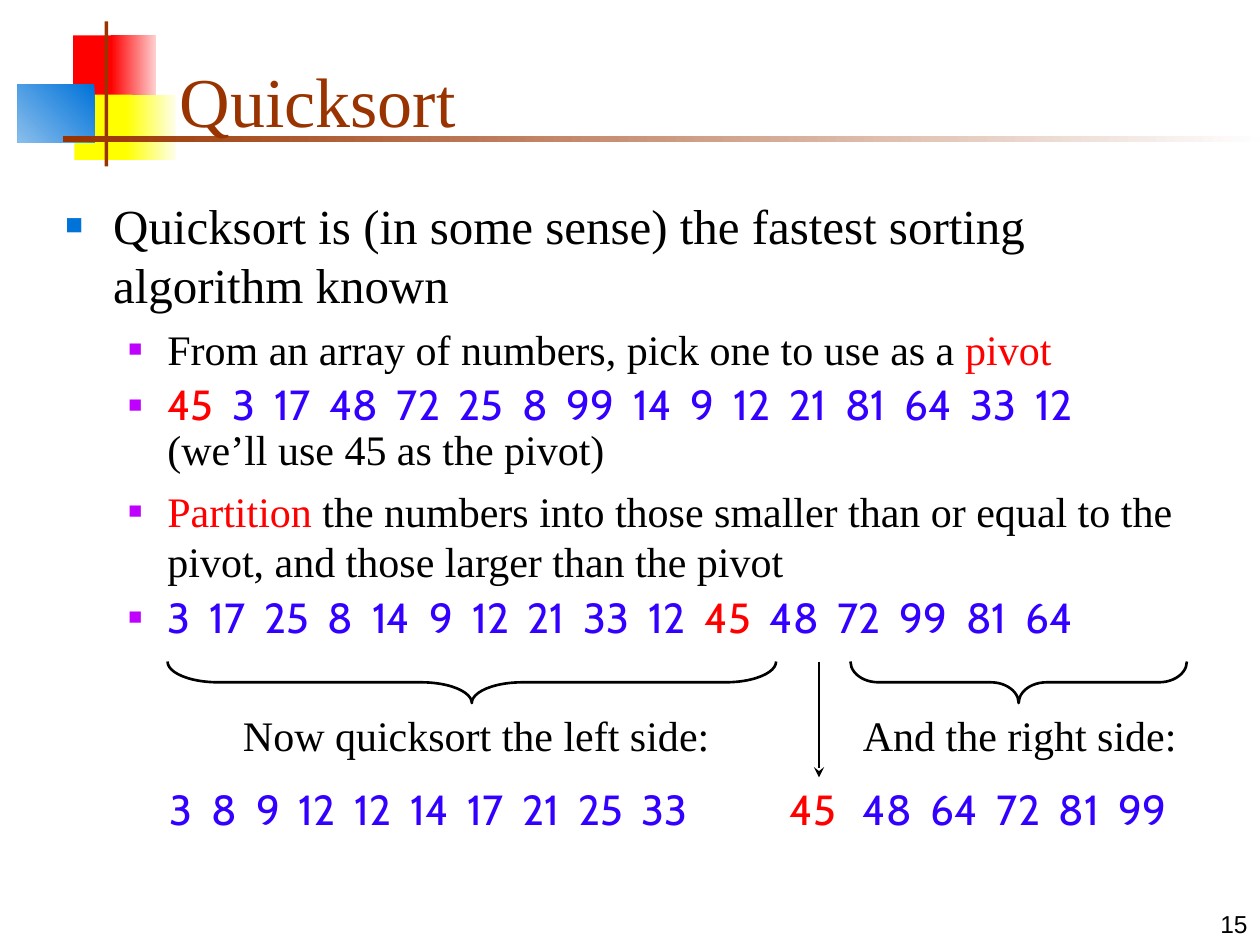
"""Build a slide that explains quicksort with one worked partition."""
import pptx
import pptx.dml.color
import pptx.enum.shapes
import pptx.enum.text
import pptx.oxml
import pptx.oxml.ns
import pptx.util
from pptx.util import Inches

RGBColor = pptx.dml.color.RGBColor
Shape = pptx.enum.shapes.MSO_SHAPE
Anchor = pptx.enum.text.MSO_ANCHOR
Align = pptx.enum.text.PP_ALIGN

BLACK = RGBColor(0x00, 0x00, 0x00)
RED = RGBColor(0xFF, 0x00, 0x00)
PALE_RED = RGBColor(0xFE, 0xD0, 0xD0)
YELLOW = RGBColor(0xFF, 0xFF, 0x00)
PALE_YELLOW = RGBColor(0xFE, 0xFE, 0xEF)
BLUE = RGBColor(0x00, 0x73, 0xD9)
PALE_BLUE = RGBColor(0x8A, 0xBE, 0xEC)
BROWN = RGBColor(0x99, 0x33, 0x00)
NEAR_WHITE = RGBColor(0xFE, 0xFE, 0xFE)
PURPLE = RGBColor(0xBF, 0x00, 0xFF)
INDIGO = RGBColor(0x33, 0x00, 0xFF)

SERIF, NUMERAL, SANS = "Times New Roman", "Cabin", "Arial"
GAP = "  "


def numbers(*values):
    """Return the values as one evenly spaced row."""
    return GAP.join(str(value) for value in values)


DECORATION = [
    ((0.58, 0.28, 0.35, 0.52), (RED,), 0),
    ((0.88, 0.28, 0.36, 0.52), (PALE_RED, RED), 180),
    ((0.59, 0.75, 0.46, 0.52), (YELLOW,), 0),
    ((1, 0.75, 0.4, 0.52), (PALE_YELLOW, YELLOW), 180),
    ((0.14, 0.67, 0.61, 0.46), (BLUE, PALE_BLUE), 225),
    ((0.83, 0.17, 0.03, 1.15), (BROWN,), 0),
    ((0.5, 1.08, 9.5, 0.05), (NEAR_WHITE, BROWN), 180),
]

TOP_BULLET = dict(size=28, before=7, margin=0.38, hanging=0.38,
                  bullet=BLUE, bullet_size=60)
SUB_BULLET = dict(size=24, before=6, margin=0.81, hanging=0.31, level=1,
                  bullet=PURPLE, bullet_size=55)
TIGHT_BULLET = dict(SUB_BULLET, spacing=0.9)

BODY = [
    ([("Quicksort is (in some sense) the fastest sorting algorithm known",
       SERIF, BLACK)], TOP_BULLET),
    ([("From an array of numbers, pick one to use as a ", SERIF, BLACK),
      ("pivot", SERIF, RED)], SUB_BULLET),
    ([("45", NUMERAL, RED),
      (GAP + numbers(3, 17, 48, 72, 25, 8, 99, 14, 9, 12, 21, 81, 64, 33, 12)
       + "\n", NUMERAL, INDIGO),
      ("(we’ll use 45 as the pivot)", SERIF, BLACK)], TIGHT_BULLET),
    ([("Partition", SERIF, RED),
      (" the numbers into those smaller than or equal to the pivot, "
       "and those larger than the pivot", SERIF, BLACK)], SUB_BULLET),
    ([(numbers(3, 17, 25, 8, 14, 9, 12, 21, 33, 12) + GAP, NUMERAL, INDIGO),
      ("45", NUMERAL, RED),
      (GAP + numbers(48, 72, 99, 81, 64), NUMERAL, INDIGO)], TIGHT_BULLET),
]

LABEL_TOP, RESULT_TOP = 5.58, 6.17
LABELS = [
    ((1.83, LABEL_TOP, 4, 0.5), "Now quicksort the left side:", SERIF, BLACK),
    ((6.75, LABEL_TOP, 2.83, 0.5), "And the right side:", SERIF, BLACK),
    ((1.25, RESULT_TOP, 5.08, 0.5),
     numbers(3, 8, 9, 12, 12, 14, 17, 21, 25, 33), NUMERAL, INDIGO),
    ((6.17, RESULT_TOP, 0.58, 0.5), "45", NUMERAL, RED),
    ((6.75, RESULT_TOP, 3, 0.5), numbers(48, 64, 72, 81, 99), NUMERAL, INDIGO),
]

BRACE_TOP, BRACE_DEPTH = 5.25, 0.33
BRACES = [(1.33, 4.83), (6.75, 2.67)]
ARROW_X = 6.5


def add_block(page, place, colours, angle):
    block = page.shapes.add_shape(Shape.RECTANGLE, *map(Inches, place))
    block.shadow.inherit = False
    block.line.fill.background()
    if len(colours) == 1:
        block.fill.solid()
        block.fill.fore_color.rgb = colours[0]
        return
    block.fill.gradient()
    block.fill.gradient_angle = angle
    for stop, colour in zip(block.fill.gradient_stops, colours):
        stop.color.rgb = colour


def set_bullet(para, colour, percent, margin, hanging):
    properties = para._p.get_or_add_pPr()
    properties.set("marL", str(Inches(margin)))
    properties.set("indent", str(-Inches(hanging)))
    space = pptx.oxml.ns.nsdecls("a")
    for markup in (
        f'<a:buClr {space}><a:srgbClr val="{colour}"/></a:buClr>',
        f'<a:buSzPct {space} val="{percent * 1000}"/>',
        f'<a:buFont {space} typeface="{SANS}"/>',
        f'<a:buChar {space} char="■"/>',
    ):
        properties.append(pptx.oxml.parse_xml(markup))


def write(para, spans, size=24, before=0, spacing=None, align=None, level=0,
          bullet=None, bullet_size=100, margin=0, hanging=0):
    para.level = level
    para.space_before = pptx.util.Pt(before)
    para.line_spacing = spacing
    para.alignment = align
    if bullet is not None:
        set_bullet(para, bullet, bullet_size, margin, hanging)
    for text, font, colour in spans:
        span = para.add_run()
        span.text = text.rstrip("\n")
        span.font.name = font
        span.font.size = pptx.util.Pt(size)
        span.font.color.rgb = colour
        if text.endswith("\n"):
            para.add_line_break()


def add_text(page, place, paragraphs, anchor=Anchor.TOP):
    box = page.shapes.add_textbox(*map(Inches, place))
    frame = box.text_frame
    frame.word_wrap = True
    frame.vertical_anchor = anchor
    for index, (spans, style) in enumerate(paragraphs):
        para = frame.add_paragraph() if index else frame.paragraphs[0]
        write(para, spans, **style)


def add_brace(page, left, span):
    brace = page.shapes.add_shape(
        Shape.LEFT_BRACE,
        Inches(left + (span - BRACE_DEPTH) / 2),
        Inches(BRACE_TOP + (BRACE_DEPTH - span) / 2),
        Inches(BRACE_DEPTH), Inches(span))
    brace.rotation = 270
    brace.adjustments[0] = span / 12 / BRACE_DEPTH
    brace.shadow.inherit = False
    brace.fill.background()
    brace.line.color.rgb = BLACK
    brace.line.width = pptx.util.Pt(1.5)


def add_arrow(page, x, top, bottom):
    arrow = page.shapes.add_connector(
        pptx.enum.shapes.MSO_CONNECTOR.STRAIGHT,
        Inches(x), Inches(top), Inches(x), Inches(bottom))
    arrow.line.color.rgb = BLACK
    arrow.line.width = pptx.util.Pt(1.5)
    space = pptx.oxml.ns.nsdecls("a")
    arrow.line._get_or_add_ln().append(
        pptx.oxml.parse_xml(f'<a:tailEnd {space} type="stealth"/>'))
    arrow._element.spPr.append(pptx.oxml.parse_xml(f"<a:effectLst {space}/>"))


def main():
    deck = pptx.Presentation()
    deck.slide_width, deck.slide_height = Inches(10), Inches(7.5)
    page = deck.slides.add_slide(deck.slide_layouts[6])
    for place, colours, angle in DECORATION:
        add_block(page, place, colours, angle)
    add_text(page, (1.33, 0.25, 8.52, 0.92),
             [([("Quicksort", SERIF, BROWN)], dict(size=40))], Anchor.BOTTOM)
    add_text(page, (0.42, 1.5, 9.38, 3.75), BODY)
    for left, span in BRACES:
        add_brace(page, left, span)
    for place, text, font, colour in LABELS:
        add_text(page, place, [([(text, font, colour)], dict(before=15))])
    add_arrow(page, ARROW_X, BRACE_TOP, RESULT_TOP)
    add_text(page, (7.92, 7, 2.08, 0.5),
             [([("15", SANS, BLACK)], dict(size=14, align=Align.RIGHT))],
             Anchor.BOTTOM)
    deck.save("out.pptx")


if __name__ == "__main__":
    main()
